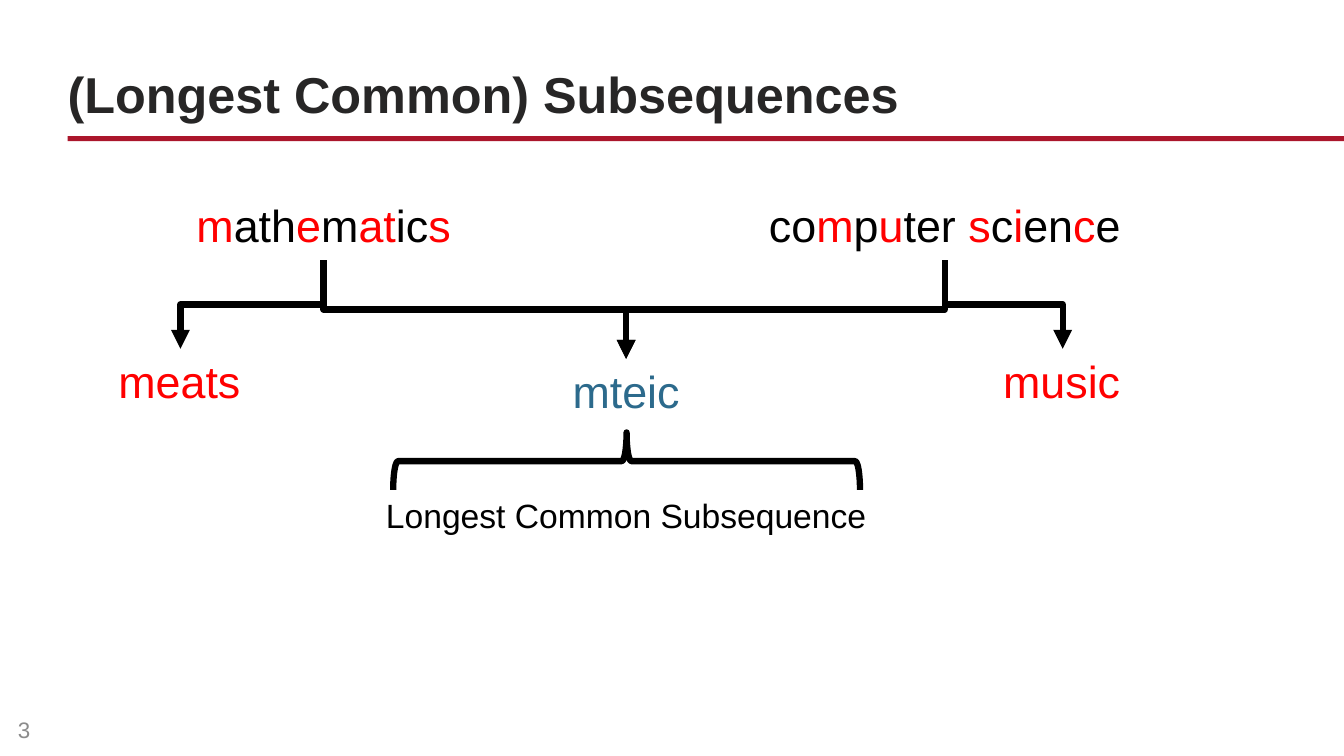
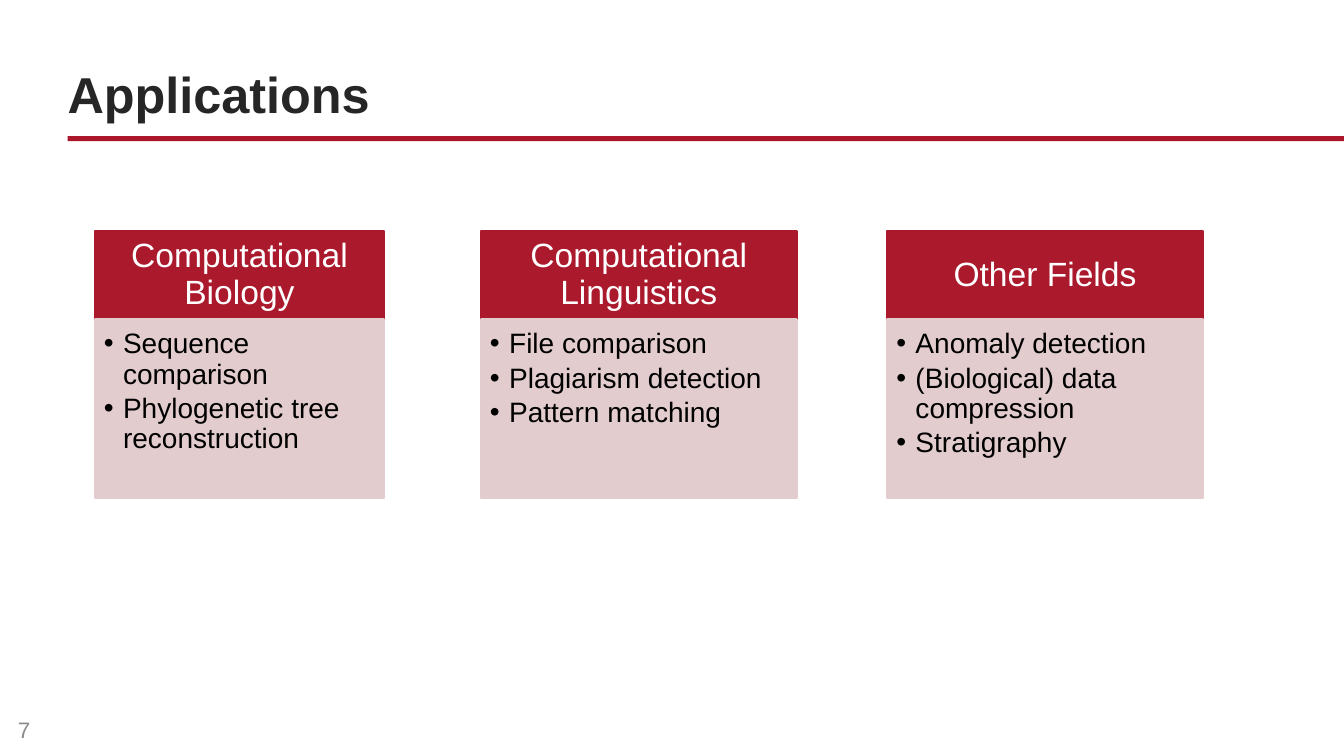
from dataclasses import dataclass
from itertools import cycle

from lxml.etree import SubElement
from pptx import Presentation
from pptx.dml.color import RGBColor
from pptx.enum.shapes import MSO_CONNECTOR, MSO_SHAPE
from pptx.enum.text import MSO_ANCHOR, PP_ALIGN
from pptx.oxml.ns import qn
from pptx.util import Pt

PX = 9144


@dataclass(frozen=True)
class Theme:
    font: str = "Arial"
    rule: RGBColor = RGBColor(0xAB, 0x16, 0x2B)
    title: RGBColor = RGBColor(0x27, 0x26, 0x26)
    number: RGBColor = RGBColor(0x8C, 0x8C, 0x8C)
    ink: RGBColor = RGBColor(0, 0, 0)
    chosen: RGBColor = RGBColor(0xFF, 0, 0)
    common: RGBColor = RGBColor(0x2C, 0x6A, 0x8C)
    header: RGBColor = RGBColor(0xAB, 0x19, 0x2D)
    panel: RGBColor = RGBColor(0xE2, 0xCC, 0xCD)
    white: RGBColor = RGBColor(0xFF, 0xFF, 0xFF)
    title_size: Pt = Pt(36)
    title_spacing: Pt = Pt(38)
    word_size: Pt = Pt(32)
    heading_size: Pt = Pt(24)
    body_size: Pt = Pt(20)
    number_size: Pt = Pt(16)
    bullet_gap: Pt = Pt(3)
    diagram_line: Pt = Pt(4.5)
    card_line: Pt = Pt(1.75)


theme = Theme()


def margins(left, top, right, bottom):
    return {
        "margin_left": left * PX,
        "margin_top": top * PX,
        "margin_right": right * PX,
        "margin_bottom": bottom * PX,
    }


def write_text(shape, lines, style, colors):
    frame = shape.text_frame
    for name, value in style["frame"].items():
        setattr(frame, name, value)
    for index, line in enumerate(lines):
        paragraph = frame.paragraphs[0] if index == 0 else frame.add_paragraph()
        for name, value in style["paragraph"].items():
            setattr(paragraph, name, value)
        for piece, color in zip(line.split("*"), cycle(colors)):
            if not piece:
                continue
            run = paragraph.add_run()
            run.text = piece
            run.font.name = theme.font
            run.font.color.rgb = color
            for name, value in style["font"].items():
                setattr(run.font, name, value)


title_style = {
    "frame": {"word_wrap": True, "vertical_anchor": MSO_ANCHOR.BOTTOM, **margins(0, 5, 0, 5)},
    "paragraph": {"line_spacing": theme.title_spacing},
    "font": {"size": theme.title_size, "bold": True},
}
number_style = {
    "frame": {"word_wrap": True, "vertical_anchor": MSO_ANCHOR.MIDDLE},
    "paragraph": {},
    "font": {"size": theme.number_size},
}
word_style = {
    "frame": {"word_wrap": True, "vertical_anchor": MSO_ANCHOR.TOP},
    "paragraph": {"alignment": PP_ALIGN.CENTER},
    "font": {"size": theme.word_size},
}
caption_style = {**word_style, "font": {"size": theme.heading_size}}
header_style = {
    "frame": {"word_wrap": True, "vertical_anchor": MSO_ANCHOR.MIDDLE, **margins(12, 7, 12, 7)},
    "paragraph": {"alignment": PP_ALIGN.CENTER, "line_spacing": 0.9},
    "font": {"size": theme.heading_size},
}
panel_style = {
    "frame": {"word_wrap": True, "vertical_anchor": MSO_ANCHOR.TOP, **margins(9, 10, 12, 14)},
    "paragraph": {
        "alignment": PP_ALIGN.LEFT,
        "line_spacing": 0.9,
        "space_after": theme.bullet_gap,
    },
    "font": {"size": theme.body_size},
}

presentation = Presentation()
presentation.slide_width = 1333 * PX
presentation.slide_height = 750 * PX

slides = []
for title, number in (("(Longest Common) Subsequences", "3"), ("Applications", "7")):
    slide = presentation.slides.add_slide(presentation.slide_layouts[6])
    rule = slide.shapes.add_shape(MSO_SHAPE.RECTANGLE, 67 * PX, 135 * PX, 1266 * PX, 5 * PX)
    rule.shadow.inherit = False
    rule.fill.solid()
    rule.fill.fore_color.rgb = theme.rule
    rule.line.fill.background()
    title_box = slide.shapes.add_textbox(67 * PX, 40 * PX, 1200 * PX, 88 * PX)
    write_text(title_box, [title], title_style, [theme.title])
    number_box = slide.shapes.add_textbox(8 * PX, 704 * PX, 300 * PX, 40 * PX)
    write_text(number_box, [number], number_style, [theme.number])
    slides.append(slide)

sequence_slide, application_slide = slides

words = (
    ("*m*ath*e*m*at*ic*s", 321, 191, 400, 67, theme.chosen, word_style),
    ("*mteic", 621, 356, 259, 100, theme.common, word_style),
    ("co*m*p*u*ter *s*c*i*en*c*e", 937, 191, 400, 67, theme.chosen, word_style),
    ("*meats", 178, 346, 259, 100, theme.chosen, word_style),
    ("*music", 1053, 346, 259, 100, theme.chosen, word_style),
    ("Longest Common Subsequence", 621, 486, 520, 67, theme.chosen, caption_style),
)
for text, center, top, width, height, accent, style in words:
    word_box = sequence_slide.shapes.add_textbox(
        center * PX - width * PX // 2, top * PX, width * PX, height * PX
    )
    write_text(word_box, [text], style, [theme.ink, accent])

arrow_top = 258
for start, end, bottom in ((321, 179, 346), (937, 1054, 346), (321, 621, 356), (937, 621, 356)):
    middle_x = (start + end) * PX // 2
    middle_y = (arrow_top + bottom) * PX // 2
    half_run = (bottom - arrow_top) * PX // 2
    half_rise = abs(end - start) * PX // 2
    direction = 1 if end < start else -1
    arrow = sequence_slide.shapes.add_connector(
        MSO_CONNECTOR.ELBOW,
        middle_x - direction * half_run,
        middle_y - half_rise,
        middle_x + direction * half_run,
        middle_y + half_rise,
    )
    arrow.line.color.rgb = theme.ink
    arrow.line.width = theme.diagram_line
    properties = arrow.element.spPr
    quarter_turns = 1 if direction == 1 else 3
    properties.find(qn("a:xfrm")).set("rot", str(quarter_turns * 90 * 60000))
    SubElement(properties.find(qn("a:ln")), qn("a:tailEnd"), type="triangle")
    SubElement(properties, qn("a:effectLst"))

brace = sequence_slide.shapes.add_shape(
    MSO_SHAPE.RIGHT_BRACE, 593 * PX, 226 * PX, 57 * PX, 463 * PX
)
brace.rotation = 270
brace.shadow.inherit = False
brace.fill.background()
brace.line.color.rgb = theme.ink
brace.line.width = theme.diagram_line

fields = (
    ("Computational Biology", 94, 287, ["Sequence comparison", "Phylogenetic tree reconstruction"]),
    (
        "Computational Linguistics",
        477,
        313,
        ["File comparison", "Plagiarism detection", "Pattern matching"],
    ),
    (
        "Other Fields",
        880,
        313,
        ["Anomaly detection", "(Biological) data compression", "Stratigraphy"],
    ),
)
for heading, left, width, topics in fields:
    parts = (
        ([heading], 229, 88, header_style, theme.header, theme.white),
        (topics, 317, 177, panel_style, theme.panel, theme.ink),
    )
    for lines, top, height, style, fill, color in parts:
        card = application_slide.shapes.add_shape(
            MSO_SHAPE.RECTANGLE, left * PX, top * PX, width * PX, height * PX
        )
        card.shadow.inherit = False
        card.fill.solid()
        card.fill.fore_color.rgb = fill
        card.line.color.rgb = fill
        card.line.width = theme.card_line
        write_text(card, lines, style, [color])
    for paragraph in card.text_frame.paragraphs:
        properties = paragraph._p.get_or_add_pPr()
        properties.set("marL", str(19 * PX))
        properties.set("indent", str(-19 * PX))
        SubElement(properties, qn("a:buFont"), typeface=theme.font)
        SubElement(properties, qn("a:buChar"), char="•")

presentation.save("out.pptx")
